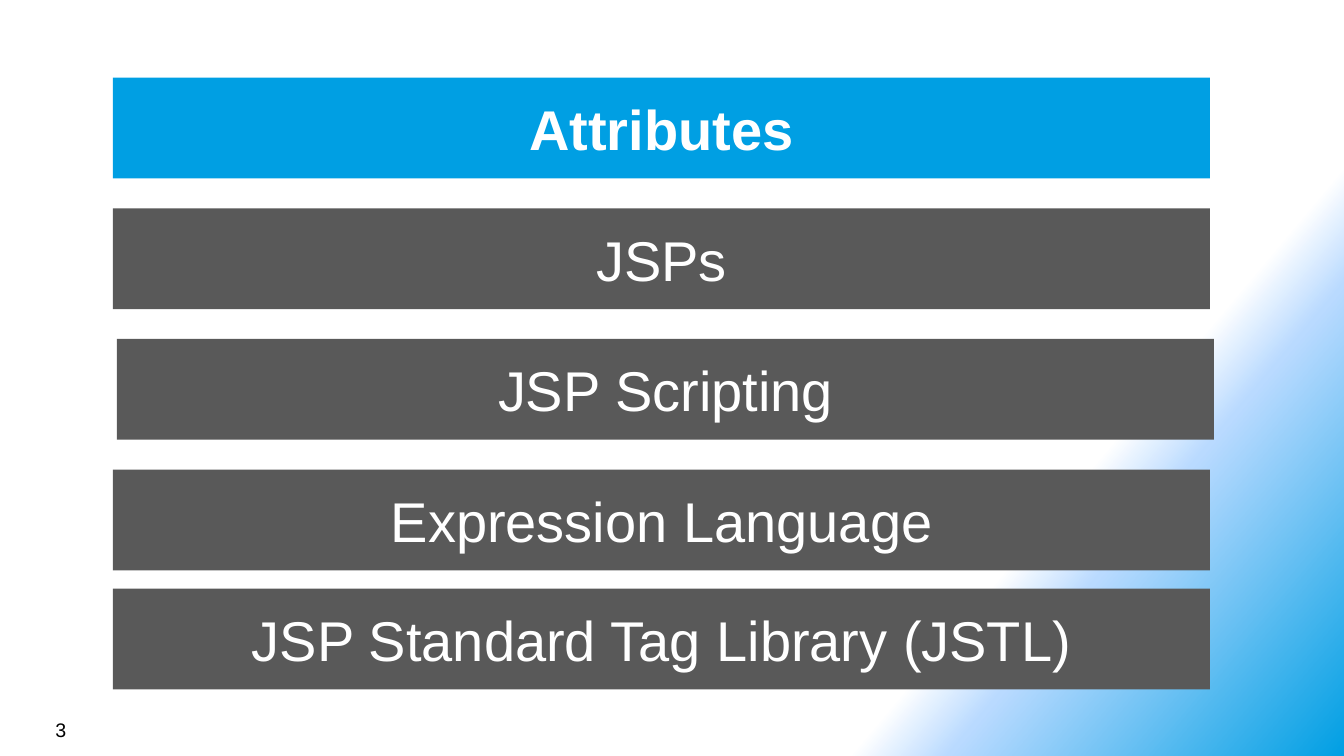
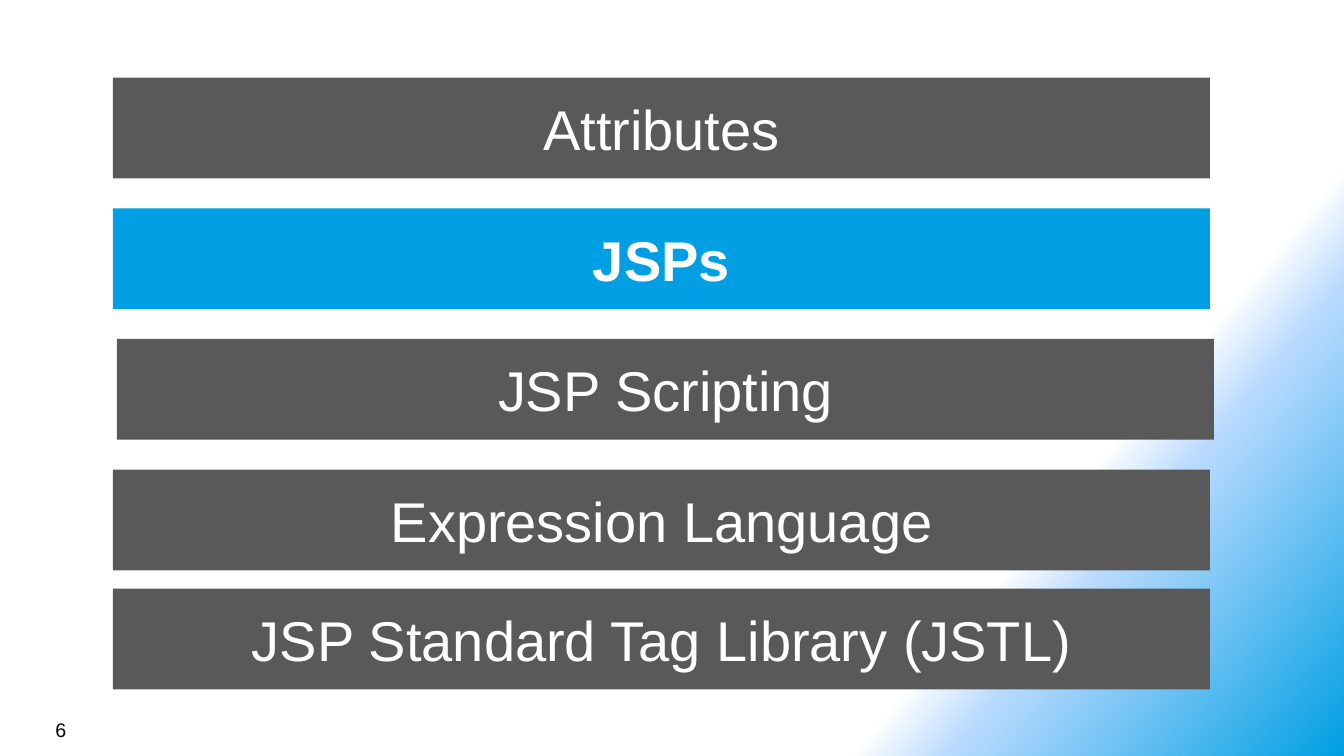
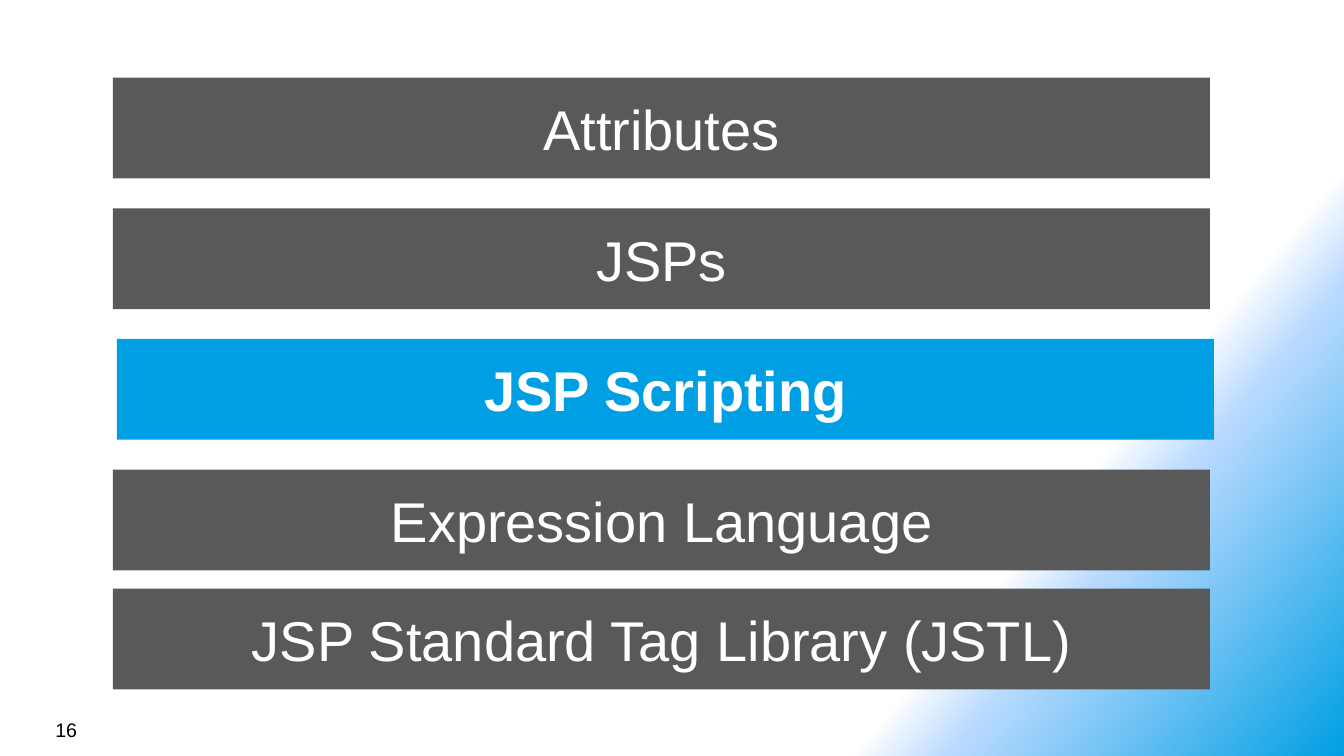
from lxml import etree
from pptx import Presentation
from pptx.dml.color import RGBColor
from pptx.enum.shapes import MSO_SHAPE
from pptx.enum.text import MSO_ANCHOR, PP_ALIGN
from pptx.oxml.ns import qn
from pptx.util import Inches, Pt

RECT = MSO_SHAPE.RECTANGLE
MIDDLE, TOP = MSO_ANCHOR.MIDDLE, MSO_ANCHOR.TOP
CENTER, LEFT = PP_ALIGN.CENTER, PP_ALIGN.LEFT

COLORS = {"white": "FFFFFF", "pale": "B9DAFF", "blue": "009FE3",
          "grey": "595959", "black": "000000"}
FADE = [(75, "white"), (80, "pale"), (100, "blue")]
FONT = "Arial"
WIDE, HIGH = 13.33, 7.5

TOPICS = ["Attributes", "JSPs", "JSP Scripting", "Expression Language",
          "JSP Standard Tag Library (JSTL)"]
AGENDA = (1.12, 0.77, 10.88, 6.07)
FOOTER = (0.45, 7.07, 3.11, 0.33)
BAR = 1
STEP = (4.66 - 0.77) / 3
SHIFTS = {"JSP Scripting": 0.04}
PAGES = [("Attributes", "3"), ("JSPs", "6"), ("JSP Scripting", "16")]


def color(name):
    return RGBColor.from_string(COLORS[name])


def backdrop(master):
    fill = master.background.fill
    fill.gradient()
    fill.gradient_angle = 320
    stops = master.element.find(".//" + qn("a:gsLst"))
    for old in list(stops):
        stops.remove(old)
    for share, name in FADE:
        stop = etree.SubElement(stops, qn("a:gs"), pos=str(share * 1000))
        etree.SubElement(stop, qn("a:srgbClr"), val=COLORS[name])


def write(shape, text, size, ink, align, anchor, bold=False):
    frame = shape.text_frame
    frame.word_wrap = True
    frame.vertical_anchor = anchor
    para = frame.paragraphs[0]
    para.text = text
    para.alignment = align
    font = para.font
    font.name, font.size, font.bold = FONT, Pt(size), bold
    font.color.rgb = color(ink)


def bar(slide, box, text, active):
    shape = slide.shapes.add_shape(RECT, *map(Inches, box))
    shape.shadow.inherit = False
    shape.fill.solid()
    shape.fill.fore_color.rgb = color("blue" if active else "grey")
    shape.line.fill.background()
    write(shape, text, 40, "white", CENTER, MIDDLE, active)


def agenda(slide, box, current):
    left, top, width, height = box
    last = len(TOPICS) - 1
    for row, topic in enumerate(TOPICS):
        drop = height - BAR if row == last else row * STEP
        place = (left + SHIFTS.get(topic, 0), top + drop, width, BAR)
        bar(slide, place, topic, topic == current)


def footer(slide, box, number):
    shape = slide.shapes.add_textbox(*map(Inches, box))
    write(shape, number, 14, "black", LEFT, TOP)


def main():
    deck = Presentation()
    deck.slide_width, deck.slide_height = Inches(WIDE), Inches(HIGH)
    backdrop(deck.slide_master)
    for current, number in PAGES:
        slide = deck.slides.add_slide(deck.slide_layouts[6])
        agenda(slide, AGENDA, current)
        footer(slide, FOOTER, number)
    deck.save("out.pptx")


if __name__ == "__main__":
    main()
